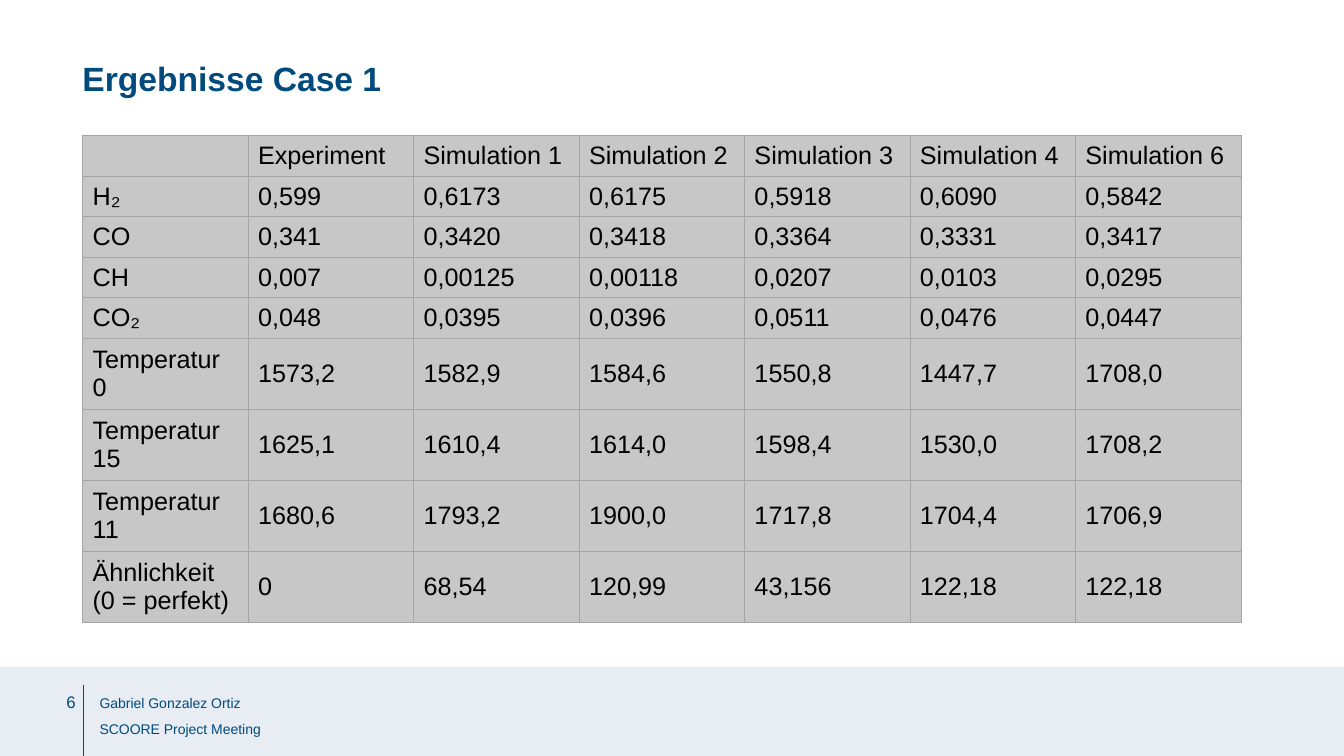
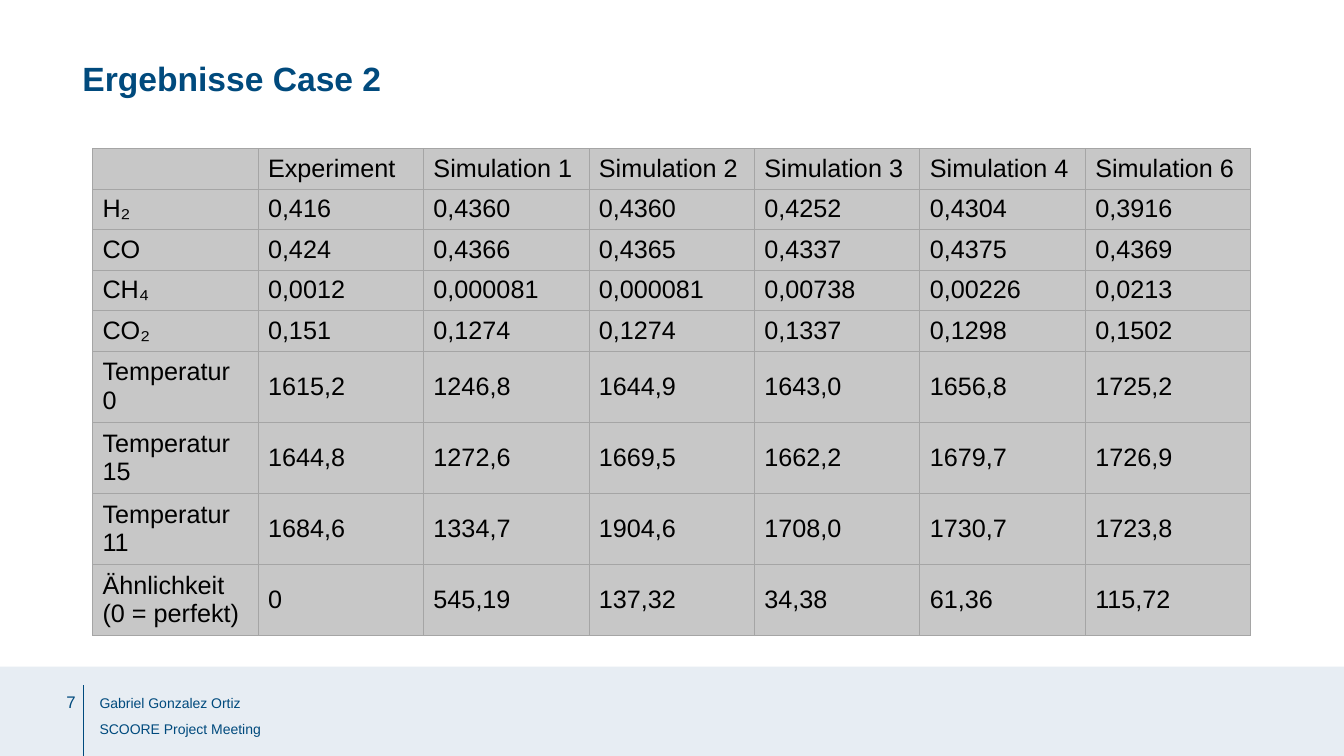
from lxml.etree import SubElement
from pptx import Presentation
from pptx.dml.color import RGBColor
from pptx.enum.shapes import MSO_CONNECTOR as Connector, MSO_SHAPE as Shape
from pptx.enum.text import MSO_ANCHOR as Anchor, PP_ALIGN as Align
from pptx.oxml.ns import qn
from pptx.util import Cm, Pt

NAVY = RGBColor(0x00, 0x4A, 0x7D)
BLACK = RGBColor(0x00, 0x00, 0x00)
BAND = RGBColor(0xE7, 0xED, 0xF3)
CELL = RGBColor(0xC7, 0xC7, 0xC7)
BORDER = RGBColor(0xA5, 0xA5, 0xA5)
FONT = "Arial"

PAGE_WIDTH, PAGE_HEIGHT = 33.87, 19.05
BAND_TOP = 16.8
LEFT = 2.08
COLUMN_WIDTH = 4.17
ROW_HEIGHT, TALL_ROW_HEIGHT = 1.02, 1.79
PRESENTER, MEETING = "Gabriel Gonzalez Ortiz", "SCOORE Project Meeting"

HEADINGS = ["", "Experiment"] + [f"Simulation {n}" for n in (1, 2, 3, 4, 6)]
TALL_LABELS = ["Temperatur 0", "Temperatur 15", "Temperatur 11",
               "Ähnlichkeit (0 = perfekt)"]

# One entry per slide: case number, table corner, gas labels, values
CASES = [
    (1, (LEFT, 3.42), ["H₂", "CO", "CH", "CO₂"], """
        0,599  0,6173  0,6175  0,5918 0,6090 0,5842
        0,341  0,3420  0,3418  0,3364 0,3331 0,3417
        0,007  0,00125 0,00118 0,0207 0,0103 0,0295
        0,048  0,0395  0,0396  0,0511 0,0476 0,0447
        1573,2 1582,9  1584,6  1550,8 1447,7 1708,0
        1625,1 1610,4  1614,0  1598,4 1530,0 1708,2
        1680,6 1793,2  1900,0  1717,8 1704,4 1706,9
        0      68,54   120,99  43,156 122,18 122,18"""),
    (2, (2.33, 3.74), ["H₂", "CO", "CH₄", "CO₂"], """
        0,416  0,4360   0,4360   0,4252  0,4304  0,3916
        0,424  0,4366   0,4365   0,4337  0,4375  0,4369
        0,0012 0,000081 0,000081 0,00738 0,00226 0,0213
        0,151  0,1274   0,1274   0,1337  0,1298  0,1502
        1615,2 1246,8   1644,9   1643,0  1656,8  1725,2
        1644,8 1272,6   1669,5   1662,2  1679,7  1726,9
        1684,6 1334,7   1904,6   1708,0  1730,7  1723,8
        0      545,19   137,32   34,38   61,36   115,72"""),
]


def write(para, text, size=18, color=BLACK, bold=False, align=Align.LEFT,
          spacing=None):
    """Put formatted text into a paragraph."""
    para.alignment = align
    if spacing:
        para.line_spacing = spacing
    span = para.add_run()
    span.text = text
    span.font.name, span.font.size = FONT, Pt(size)
    span.font.bold, span.font.color.rgb = bold, color


def draw_borders(cell):
    properties = cell._tc.get_or_add_tcPr()
    for side in ("a:lnL", "a:lnR", "a:lnT", "a:lnB"):
        line = SubElement(properties, qn(side), w=str(Pt(0.5)))
        fill = SubElement(line, qn("a:solidFill"))
        SubElement(fill, qn("a:srgbClr"), val=str(BORDER))


class ResultDeck:
    def __init__(self):
        self.deck = Presentation()
        self.deck.slide_width = Cm(PAGE_WIDTH)
        self.deck.slide_height = Cm(PAGE_HEIGHT)
        self.page = None

    def add_page(self, number, title):
        self.page = self.deck.slides.add_slide(self.deck.slide_layouts[6])
        self.add_footer(number)
        self.add_text([title], LEFT, 1.57, 30.5, 2.16, right=0.25,
                      size=24, color=NAVY, bold=True, spacing=0.9)

    def add_text(self, lines, left, top, width, height, right=0, **style):
        box = self.page.shapes.add_textbox(Cm(left), Cm(top), Cm(width), Cm(height))
        frame = box.text_frame
        frame.word_wrap = True
        frame.margin_left = frame.margin_top = 0
        frame.margin_right, frame.margin_bottom = Cm(right), Cm(0.13)
        for index, line in enumerate(lines):
            para = frame.add_paragraph() if index else frame.paragraphs[0]
            write(para, line, **style)

    def add_footer(self, number):
        # Band
        band = self.page.shapes.add_shape(
            Shape.RECTANGLE, 0, Cm(BAND_TOP), Cm(PAGE_WIDTH), Cm(PAGE_HEIGHT - BAND_TOP))
        band.shadow.inherit = False
        band.fill.solid()
        band.fill.fore_color.rgb = BAND
        band.line.fill.background()
        # Page number and meeting
        self.add_text([str(number)], 0.53, 17.42, 1.38, 1.02,
                      size=12, color=NAVY, align=Align.RIGHT)
        self.add_text([PRESENTER, MEETING], 2.51, 17.3, 19.08, 1.47,
                      size=10, color=NAVY, spacing=1.5)
        # Divider
        divider = self.page.shapes.add_connector(
            Connector.STRAIGHT, Cm(2.11), Cm(PAGE_HEIGHT), Cm(2.11), Cm(17.27))
        divider.line.color.rgb = NAVY
        divider.line.width = Pt(0.5)
        SubElement(divider._element.spPr, qn("a:effectLst"))

    def add_table(self, rows, left, top):
        heights = [TALL_ROW_HEIGHT if row[0] in TALL_LABELS else ROW_HEIGHT
                   for row in rows]
        table = self.page.shapes.add_table(
            len(rows), len(HEADINGS), Cm(left), Cm(top),
            Cm(COLUMN_WIDTH * len(HEADINGS)), Cm(sum(heights))).table
        table.first_row = table.horz_banding = False
        for column in table.columns:
            column.width = Cm(COLUMN_WIDTH)
        for table_row, height, texts in zip(table.rows, heights, rows):
            table_row.height = Cm(height)
            for cell, text in zip(table_row.cells, texts):
                draw_borders(cell)
                cell.fill.solid()
                cell.fill.fore_color.rgb = CELL
                cell.vertical_anchor = Anchor.MIDDLE
                if text:
                    write(cell.text_frame.paragraphs[0], text)


def main():
    results = ResultDeck()
    for number, (case, corner, gases, values) in enumerate(CASES, start=6):
        results.add_page(number, f"Ergebnisse Case {case}")
        value_rows = [line.split() for line in values.strip().splitlines()]
        rows = [[label, *row] for label, row in zip(gases + TALL_LABELS, value_rows)]
        results.add_table([HEADINGS, *rows], *corner)
    results.deck.save("out.pptx")


if __name__ == "__main__":
    main()
